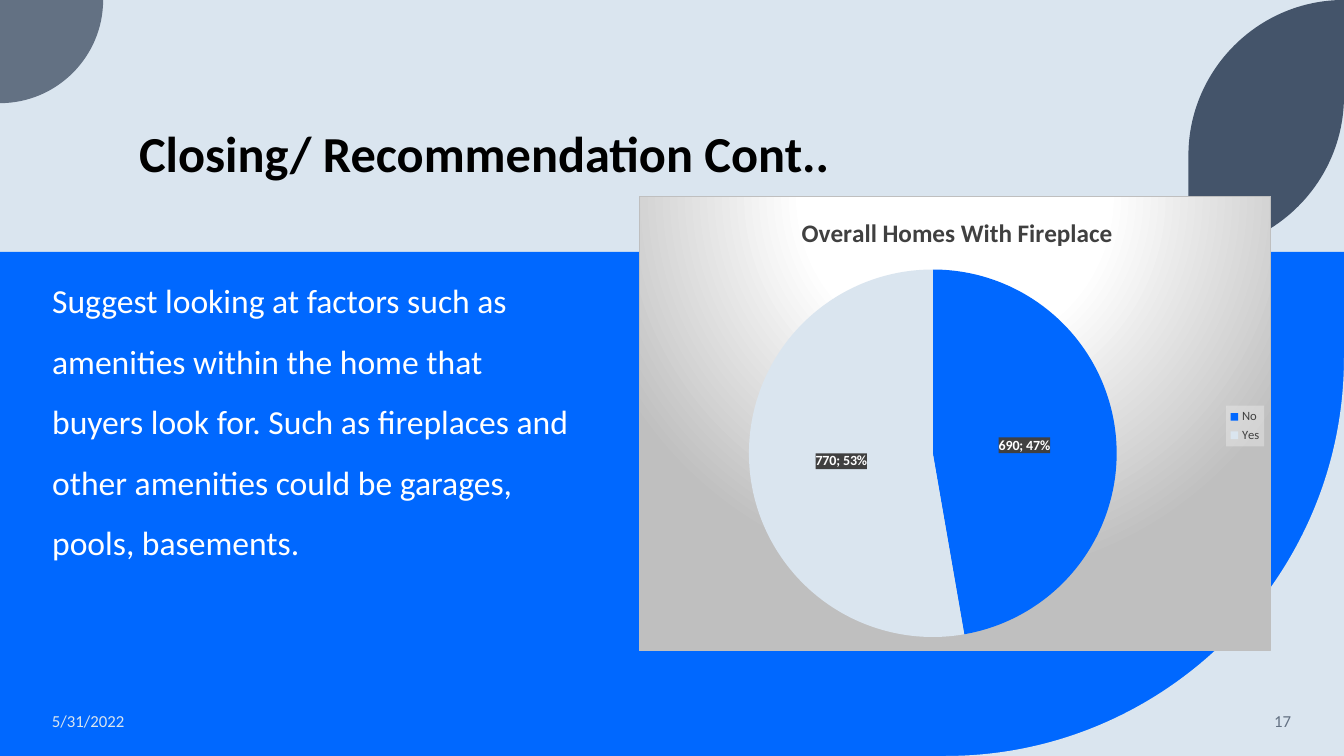
from pptx import Presentation
from pptx import util as u
from pptx.chart.data import CategoryChartData
from pptx.dml.color import RGBColor
from pptx.enum import chart as charts, shapes, text
from pptx.oxml import parse_xml
from pptx.oxml.ns import nsdecls, qn

HUES = {"blue": "0068FF", "pale": "DAE5EF", "slate": "637183", "navy": "44546A",
        "black": "000000", "white": "FFFFFF", "dark": "404040", "gray": "BFBFBF",
        "light": "F2F2F2"}
FONT = "Calibri"
WIDE, HIGH = 33.87, 19.05


def tint(name):
    """Return the named colour."""
    return RGBColor.from_string(HUES[name])


def style(font, size, hue, bold=False):
    """Format one font."""
    font.name, font.size, font.bold = FONT, u.Pt(size), bold
    font.color.rgb = tint(hue)


def paint(shape, hue):
    """Give a shape a flat fill without line or shadow."""
    shape.shadow.inherit = False
    shape.fill.solid()
    shape.fill.fore_color.rgb = tint(hue)
    shape.line.fill.background()


def bend(start, corner, end):
    """Return the curve points of a quarter circle that rounds a corner."""
    pulls = [tuple(a + 0.55 * (c - a) for a, c in zip(tip, corner)) for tip in (start, end)]
    return pulls + [end]


def blob(slide, start, parts, hue):
    """Draw an outline in cm from parts of one point (line) or three (curve)."""
    dots = [(u.Cm(x), u.Cm(y)) for part in parts for x, y in part]
    pen = slide.shapes.build_freeform(u.Cm(start[0]), u.Cm(start[1]))
    pen.add_line_segments(dots, close=True)
    shape = pen.convert_to_shape()
    lines = iter(list(shape._element.iter(qn("a:lnTo"))))
    for part in parts:
        first = next(lines)
        if len(part) == 3:
            curve = parse_xml(f"<a:cubicBezTo {nsdecls('a')}/>")
            first.addprevious(curve)
            for line in (first, next(lines), next(lines)):
                curve.append(line[0])
                line.getparent().remove(line)
    paint(shape, hue)


def decor(slide, box):
    """Draw the blue band and the rounded corners of the page box."""
    left, top, wide, high = box
    right, base = left + wide, top + high
    band = slide.shapes.add_shape(shapes.MSO_SHAPE.RECTANGLE, u.Cm(left),
                                  u.Cm(top + high / 3), u.Cm(wide), u.Cm(high * 2 / 3))
    paint(band, "blue")
    r, corner = 10.03, (right, base)
    side, foot = (right, base - r), (right - r, base)
    blob(slide, side, [bend(side, corner, foot), [corner]], "pale")
    r = 2.6
    side, foot = (left + r, top), (left, top + r)
    blob(slide, (left, top), [[side], bend(side, (left + r, top + r), foot)], "slate")
    r, drop = 3.92, 2.43
    tip, side = (right, top), (right, top + drop)
    foot, rise = (right - r, top + drop + r), (right - r, top + r)
    blob(slide, tip, [[side], bend(side, (right, foot[1]), foot), [rise],
                      bend(rise, (right - r, top), tip)], "navy")


def write(shape, box, words, size, hue, bold=False, side="LEFT", hold="MIDDLE"):
    """Place and format one paragraph in a text shape, and return it."""
    shape.left, shape.top, shape.width, shape.height = map(u.Cm, box)
    frame = shape.text_frame
    frame.text = words
    frame.word_wrap = True
    frame.auto_size = text.MSO_AUTO_SIZE.NONE
    frame.vertical_anchor = text.MSO_ANCHOR[hold]
    para = frame.paragraphs[0]
    para.alignment = text.PP_ALIGN[side]
    style(para.font, size, hue, bold)
    return para


def prose(slide, box):
    """Fill the title and body placeholders relative to the page box."""
    left, top = box[:2]
    for shape in list(slide.placeholders):
        slide.shapes._spTree.append(shape._element)
    para = write(slide.shapes.title, (left + 3.25, top + 1.07, 18.39, 3.68),
                 "Closing/ Recommendation Cont..", 36, "black", True, hold="BOTTOM")
    para.line_spacing = 0.9
    para = write(slide.placeholders[1], (left + 1.06, top + 6.43, 13.69, 9.55),
                 "Suggest looking at factors such as amenities within the home that "
                 "buyers look for. Such as fireplaces and other amenities could be "
                 "garages, pools, basements. ", 24, "white", hold="TOP")
    para.line_spacing, para.space_before = 1.5, u.Pt(10)
    props = para._p.get_or_add_pPr()
    props.set("marL", "0")
    props.set("indent", "0")
    props.append(parse_xml(f"<a:buNone {nsdecls('a')}/>"))


def footer(slide, box):
    """Write the date and page number at both ends of the box."""
    left, top, wide, high = box
    for words, span, side, hue in (("5/31/2022", 7.62, "LEFT", "pale"),
                                   ("17", 4.45, "RIGHT", "slate")):
        x = left if side == "LEFT" else left + wide - span
        area = (x, top, span, high)
        note = slide.shapes.add_textbox(*map(u.Cm, area))
        write(note, area, words, 12, hue, side=side)


def flat(hue, alpha):
    """Return chart shape properties with a translucent fill."""
    return parse_xml(f'<c:spPr {nsdecls("c", "a")}><a:solidFill><a:srgbClr val="{HUES[hue]}">'
                     f'<a:alpha val="{alpha}000"/></a:srgbClr></a:solidFill></c:spPr>')


def glow():
    """Return the radial fill and border of the chart area."""
    stops = "".join(f'<a:gs pos="{pos}000"><a:srgbClr val="{HUES[hue]}"/></a:gs>'
                    for pos, hue in ((0, "white"), (39, "white"), (100, "gray")))
    return parse_xml(
        f'<c:spPr {nsdecls("c", "a")}><a:gradFill><a:gsLst>{stops}</a:gsLst>'
        '<a:path path="circle"><a:fillToRect l="50000" t="-80000" r="50000" b="180000"/>'
        f'</a:path></a:gradFill><a:ln w="9525"><a:solidFill><a:srgbClr val="{HUES["gray"]}"/>'
        '</a:solidFill></a:ln></c:spPr>')


def fix(part, slot, **spots):
    """Set a manual layout, in shares of the chart, on a chart part."""
    for old in part.findall(qn("c:layout")):
        part.remove(old)
    inner = '<c:layoutTarget val="inner"/>' if slot == 0 else ""
    modes = "".join(f'<c:{k}Mode val="edge"/>' for k in "xy")
    sizes = "".join(f'<c:{k} val="{v}"/>' for k, v in spots.items())
    part.insert(slot, parse_xml(f'<c:layout {nsdecls("c")}><c:manualLayout>{inner}{modes}'
                                f'{sizes}</c:manualLayout></c:layout>'))


def pie(slide, box):
    """Add the fireplace pie chart in the box."""
    data = CategoryChartData()
    data.categories = ["No ", "Yes"]
    data.add_series("Series 1", (690, 770))
    chart = slide.shapes.add_chart(charts.XL_CHART_TYPE.PIE, *map(u.Cm, box), data).chart
    style(chart.font, 10, "black")
    chart._chartSpace.find(qn("c:txPr")).addprevious(glow())

    chart.has_title = True
    head = chart.chart_title.text_frame
    head.text = "Overall Homes With Fireplace"
    style(head.paragraphs[0].font, 18, "dark", True)
    fix(chart.chart_title._element, 1, x=0.25, y=0.03)

    chart.has_legend = True
    key = chart.legend
    key.position = charts.XL_LEGEND_POSITION.RIGHT
    key.include_in_layout = False
    style(key.font, 9, "dark")
    key._element.find(qn("c:txPr")).addprevious(flat("light", 39))
    fix(key._element, 1, x=0.93, y=0.46, w=0.06, h=0.09)

    plot = chart.plots[0]
    plot.vary_by_categories = True
    fix(plot._element.getparent(), 0, x=0.17, y=0.16, w=0.59, h=0.81)
    series = plot.series[0]
    for i, hue in enumerate(("blue", "pale")):
        fill = series.points[i].format.fill
        fill.solid()
        fill.fore_color.rgb = tint(hue)
    tags = series.data_labels
    tags.show_value = tags.show_percentage = True
    tags.position = charts.XL_LABEL_POSITION.CENTER
    style(tags.font, 10, "white", True)
    tags._element.find(qn("c:txPr")).addprevious(flat("dark", 95))
    tags._element.find(qn("c:showBubbleSize")).addnext(
        parse_xml(f'<c:separator {nsdecls("c")}>; </c:separator>'))


def build():
    """Build and save the slide."""
    deck = Presentation()
    deck.slide_width, deck.slide_height = u.Cm(WIDE), u.Cm(HIGH)
    slide = deck.slides.add_slide(deck.slide_layouts[1])
    slide.background.fill.solid()
    slide.background.fill.fore_color.rgb = tint("pale")
    page = (0, 0, WIDE, HIGH)
    decor(slide, page)
    prose(slide, page)
    footer(slide, (1.06, 17.65, 31.73, 1.02))
    pie(slide, (16.1, 4.95, 15.93, 11.46))
    deck.save("out.pptx")


build()
